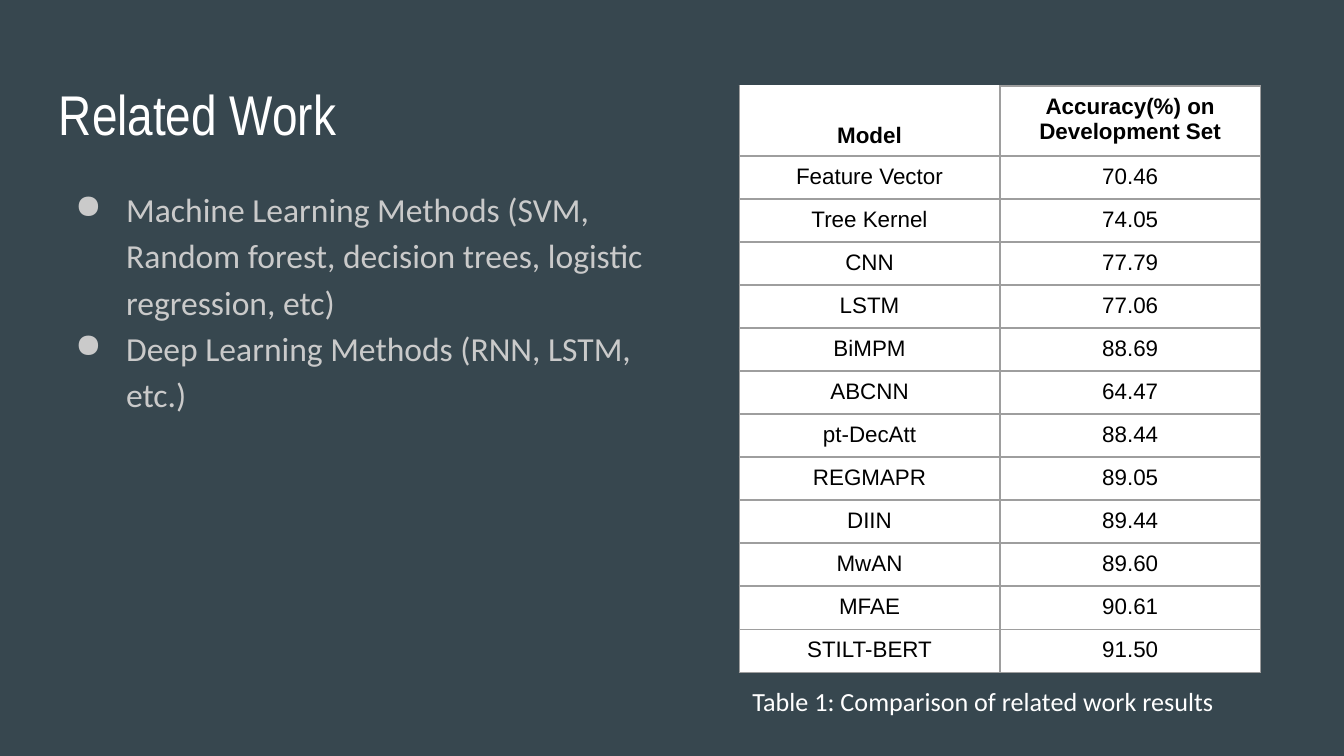
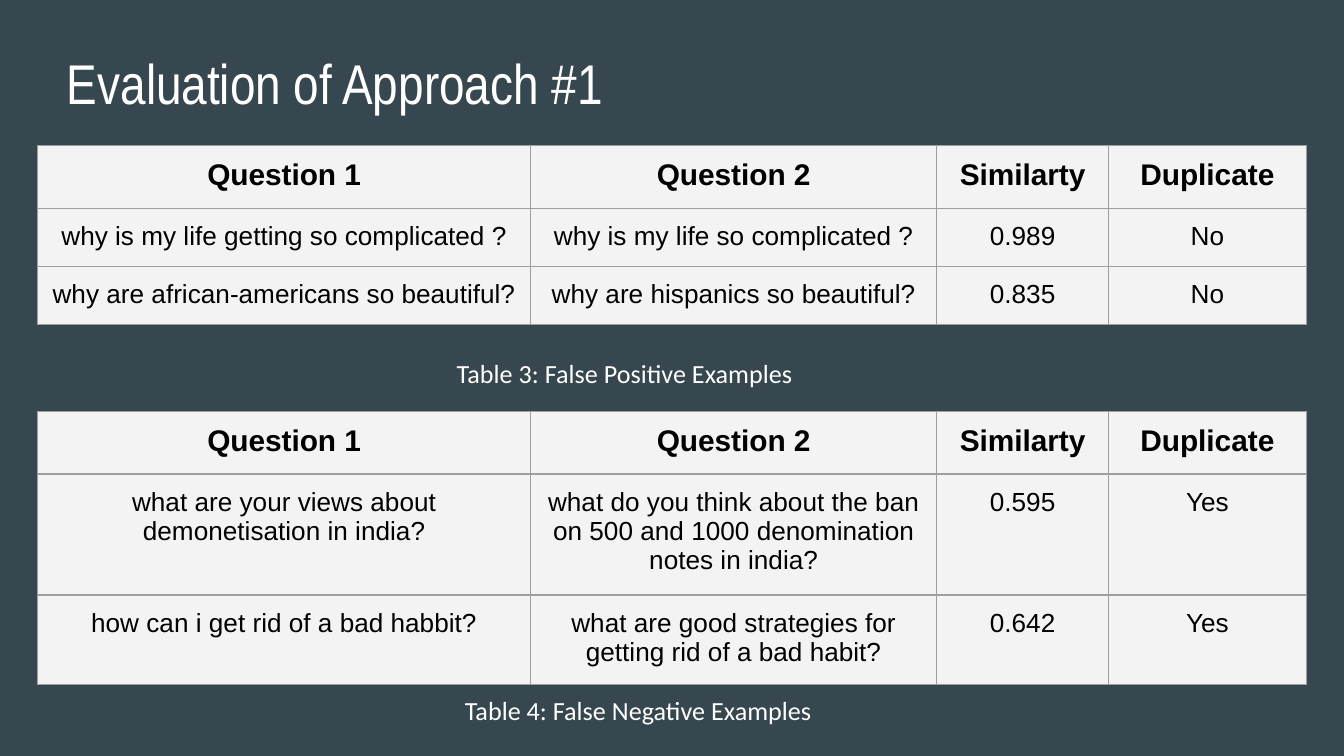
from lxml.etree import SubElement
from pptx import Presentation
from pptx.dml.color import RGBColor
from pptx.enum.text import MSO_ANCHOR, PP_ALIGN
from pptx.oxml.ns import qn
from pptx.util import Inches, Pt

SLATE = RGBColor(0x37, 0x47, 0x4F)
WHITE = RGBColor(0xFF, 0xFF, 0xFF)
BLACK = RGBColor(0x00, 0x00, 0x00)
SILVER = RGBColor(0xCA, 0xCA, 0xCA)
PALE = RGBColor(0xF3, 0xF3, 0xF3)
LINE = RGBColor(0x9E, 0x9E, 0x9E)

# The page is a grid of square units
COLS, ROWS = 100, 56.25
UNIT = Inches(0.1)


def grid(*sizes):
    return [round(size * UNIT) for size in sizes]


class Deck:
    def __init__(self):
        self.prs = Presentation()
        self.prs.slide_width, self.prs.slide_height = grid(COLS, ROWS)
        self.slide = None

    def page(self):
        self.slide = self.prs.slides.add_slide(self.prs.slide_layouts[6])
        fill = self.slide.background.fill
        fill.solid()
        fill.fore_color.rgb = SLATE

    def style(self, para, face, size, color, bold=False):
        for run in para.runs:
            font = run.font
            font.name, font.size, font.bold = face, Pt(size), bold
            font.color.rgb = color

    def pad(self, item, side, edge):
        item.margin_left = item.margin_right = round(side * UNIT)
        item.margin_top = item.margin_bottom = round(edge * UNIT)

    def text(self, box, lines, face, size, color):
        frame = self.slide.shapes.add_textbox(*grid(*box)).text_frame
        frame.word_wrap = True
        self.pad(frame, 1, 1)
        frame.text = "\n".join(lines)
        for para in frame.paragraphs:
            self.style(para, face, size, color)
        return frame.paragraphs

    def title(self, left, top, words):
        self.text((left, top, 93.2, 6.3), [words], "Arial Narrow", 30, WHITE)

    def label(self, left, top, width, words):
        self.text((left, top, width, 3.8), [words], "Calibri", 14, WHITE)

    def bullets(self, box, lines):
        for para in self.text(box, lines, "Calibri", 18, SILVER):
            para.line_spacing = 1.15
            props = para._p.get_or_add_pPr()
            props.set("marL", str(Inches(0.5)))
            props.set("indent", str(-Inches(0.38)))
            tint = SubElement(props, qn("a:buClr"))
            SubElement(tint, qn("a:srgbClr")).set("val", str(SILVER))
            SubElement(props, qn("a:buChar")).set("char", "●")

    def border(self, cell, top):
        props = cell._tc.get_or_add_tcPr()
        for side in "LRTB":
            edge = SubElement(props, qn("a:ln" + side), w=str(Pt(0.75)))
            fill = SubElement(edge, qn("a:solidFill"))
            color = top if side == "T" else LINE
            SubElement(fill, qn("a:srgbClr")).set("val", str(color))

    def table(self, left, top, wide, high, data, fill, sizes, edge):
        box = grid(left, top, sum(wide), sum(high))
        table = self.slide.shapes.add_table(len(high), len(wide), *box).table
        table.first_row = table.horz_banding = False
        for col, width in zip(table.columns, grid(*wide)):
            col.width = width
        for row, height in zip(table.rows, grid(*high)):
            row.height = height
        for r, line in enumerate(data):
            for c, words in enumerate(line):
                cell = table.cell(r, c)
                # The white table has no visible line above its first cell
                self.border(cell, fill if fill == WHITE and r == c == 0 else LINE)
                cell.fill.solid()
                cell.fill.fore_color.rgb = fill
                self.pad(cell, 1, edge)
                cell.text_frame.text = words
                para = cell.text_frame.paragraphs[0]
                para.alignment = PP_ALIGN.CENTER
                self.style(para, "Arial", sizes[r > 0], BLACK, r == 0)
        return table


MODELS = [
    ("Model", "Accuracy(%) on Development Set"),
    ("Feature Vector", "70.46"),
    ("Tree Kernel", "74.05"),
    ("CNN", "77.79"),
    ("LSTM", "77.06"),
    ("BiMPM", "88.69"),
    ("ABCNN", "64.47"),
    ("pt-DecAtt", "88.44"),
    ("REGMAPR", "89.05"),
    ("DIIN", "89.44"),
    ("MwAN", "89.60"),
    ("MFAE", "90.61"),
    ("STILT-BERT", "91.50"),
]
HEAD = ("Question 1", "Question 2", "Similarty", "Duplicate")
FALSE_POS = [
    HEAD,
    ("why is my life getting so complicated ?",
     "why is my life so complicated ?", "0.989", "No"),
    ("why are african-americans so beautiful?",
     "why are hispanics so beautiful?", "0.835", "No"),
]
FALSE_NEG = [
    HEAD,
    ("what are your views about demonetisation in india?",
     "what do you think about the ban on 500 and 1000 denomination "
     "notes in india?", "0.595", "Yes"),
    ("how can i get rid of a bad habbit?",
     "what are good strategies for getting rid of a bad habit?",
     "0.642", "Yes"),
]


def related(deck):
    deck.page()
    deck.title(3.4, 4.9, "Related Work")
    deck.bullets((3.4, 12.6, 48.8, 37.4), [
        "Machine Learning Methods (SVM, Random forest, decision trees, "
        "logistic regression, etc)",
        "Deep Learning Methods (RNN, LSTM, etc.)",
    ])
    high = [4.9] + [3.05] * (len(MODELS) - 1)
    table = deck.table(55, 6.4, [19.4] * 2, high, MODELS, WHITE, (12, 12), 0.6)
    table.cell(0, 0).vertical_anchor = MSO_ANCHOR.BOTTOM
    deck.label(55, 50, 38.9, "Table 1: Comparison of related work results")


def results(deck):
    deck.page()
    deck.title(4, 2.6, "Evaluation of Approach #1")
    wide = [36.7, 30.2, 12.8, 14.7]
    parts = [
        (10.8, [4.7, 4.3, 4.3], FALSE_POS, 33, 25.6,
         "Table 3: False Positive Examples"),
        (30.6, [4.65, 8.5, 6.35], FALSE_NEG, 33.6, 50.7,
         "Table 4: False Negative Examples"),
    ]
    for top, high, data, left, base, words in parts:
        deck.table(2.8, top, wide, high, data, PALE, (16, 14), 1)
        deck.label(left, base, 34.1, words)


def main():
    deck = Deck()
    related(deck)
    results(deck)
    deck.prs.save("out.pptx")


if __name__ == "__main__":
    main()
